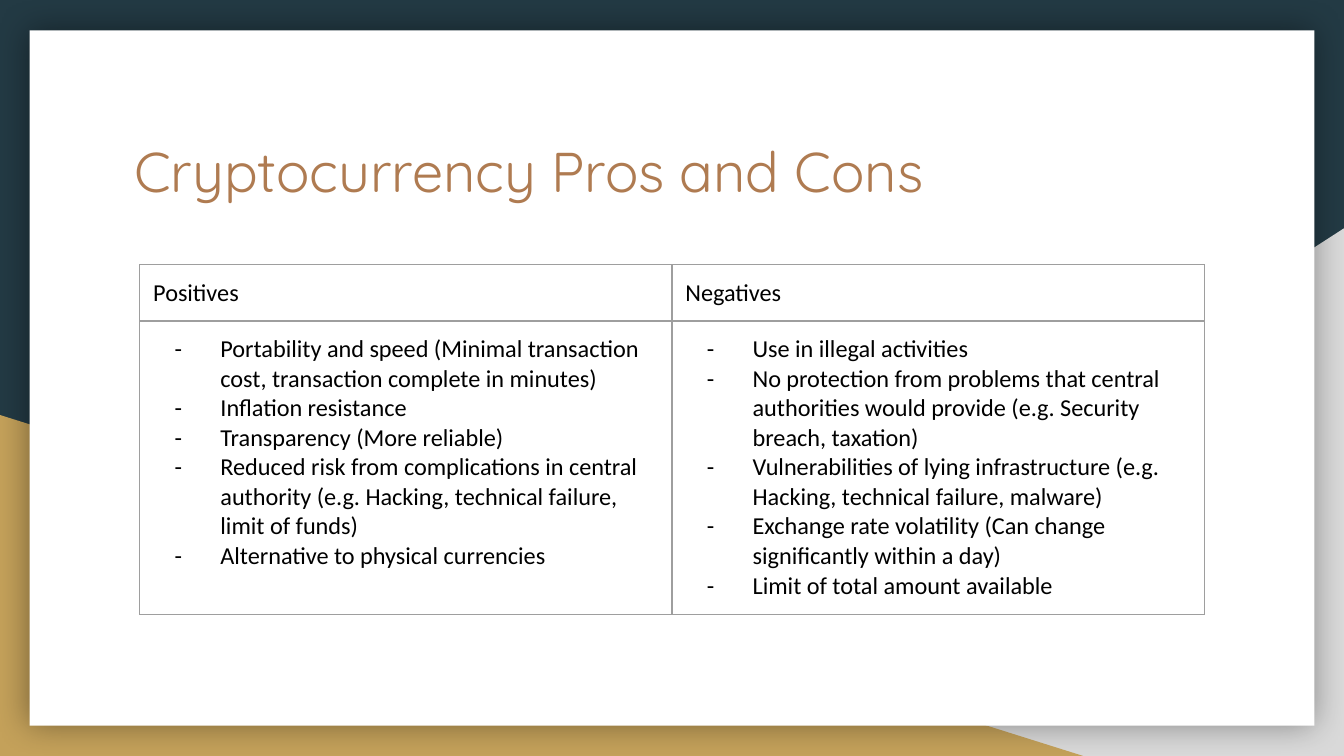
from lxml import etree
from pptx import Presentation
from pptx import util as u
from pptx.dml.color import RGBColor
from pptx.enum import shapes, text
from pptx.oxml.ns import qn

NAVY = RGBColor(0x23, 0x3A, 0x44)
SILVER = RGBColor(0xD9, 0xD9, 0xD9)
GOLD = RGBColor(0xC4, 0xA1, 0x5A)
WHITE = RGBColor(0xFF, 0xFF, 0xFF)
COPPER = RGBColor(0xAF, 0x7B, 0x51)
BLACK = RGBColor(0, 0, 0)
GRAY = RGBColor(0x9E, 0x9E, 0x9E)

COLUMNS = {
    "Positives": [
        "Portability and speed (Minimal transaction cost, transaction complete in minutes)",
        "Inflation resistance",
        "Transparency (More reliable)",
        "Reduced risk from complications in central authority "
        "(e.g. Hacking, technical failure, limit of funds)",
        "Alternative to physical currencies",
    ],
    "Negatives": [
        "Use in illegal activities",
        "No protection from problems that central authorities would provide "
        "(e.g. Security breach, taxation)",
        "Vulnerabilities of lying infrastructure (e.g. Hacking, technical failure, malware)",
        "Exchange rate volatility (Can change significantly within a day)",
        "Limit of total amount available",
    ],
}

deck = Presentation()
deck.slide_width = u.Inches(10)
deck.slide_height = deck.slide_width * 9 // 16
page = deck.slides.add_slide(deck.slide_layouts[6])
page.background.fill.solid()
page.background.fill.fore_color.rgb = NAVY


def place(left, top, width, height):
    """Turn percentages of the slide's size into lengths."""
    sizes = (deck.slide_width, deck.slide_height) * 2
    return [u.Emu(round(size * share / 100))
            for size, share in zip(sizes, (left, top, width, height))]


def add_run(para, words, font, size, color):
    run = para.add_run()
    run.text = words
    run.font.name = font
    run.font.size = u.Pt(size)
    run.font.color.rgb = color


# Backdrop: two corner triangles under a white panel
TRIANGLE = shapes.MSO_SHAPE.RIGHT_TRIANGLE
for kind, area, color, flipped in [
    (TRIANGLE, (39.2, 30.2, 60.8, 69.8), SILVER, True),
    (TRIANGLE, (0, 54.9, 80.6, 45.1), GOLD, False),
    (shapes.MSO_SHAPE.RECTANGLE, (2.2, 4, 95.6, 92), WHITE, False),
]:
    panel = page.shapes.add_shape(kind, *place(*area))
    panel.shadow.inherit = False
    panel.fill.solid()
    panel.fill.fore_color.rgb = color
    panel.line.fill.background()
    if flipped:
        panel._element.spPr.xfrm.set("flipH", "1")

effects = panel._element.spPr.find(qn("a:effectLst"))
shadow = etree.SubElement(effects, qn("a:outerShdw"), blurRad=str(u.Pt(18)),
                          dist="0", dir="0", algn="ctr", rotWithShape="0")
shade = etree.SubElement(shadow, qn("a:srgbClr"), val=str(BLACK))
etree.SubElement(shade, qn("a:alpha"), val="40000")

# Title
title = page.shapes.add_textbox(*place(9, 16.3, 82.1, 18.5)).text_frame
title.word_wrap = True
title.vertical_anchor = text.MSO_ANCHOR.TOP
title.margin_left = title.margin_right = u.Inches(0.1)
title.margin_top = title.margin_bottom = u.Inches(0.1)
add_run(title.paragraphs[0], "Cryptocurrency Pros and Cons", "Quicksand", 30, COPPER)

# Table: a heading above a dashed list in each column
left, top, width, height = place(10.4, 35, 79.2, 46.3)
table = page.shapes.add_table(2, len(COLUMNS), left, top, width, height).table
table.first_row = table.horz_banding = False
table.rows[0].height = u.Inches(0.42)
table.rows[1].height = height - table.rows[0].height

for column, (heading, points) in enumerate(COLUMNS.items()):
    for row, lines in enumerate([[heading], points]):
        cell = table.cell(row, column)
        cell.fill.background()
        cell.margin_left = cell.margin_right = u.Inches(0.1)
        cell.margin_top = cell.margin_bottom = u.Inches(0.1)
        borders = cell._tc.get_or_add_tcPr()
        for order, side in enumerate(["a:lnL", "a:lnR", "a:lnT", "a:lnB"]):
            border = etree.Element(qn(side), w=str(u.Pt(0.75)))
            paint = etree.SubElement(border, qn("a:solidFill"))
            etree.SubElement(paint, qn("a:srgbClr"), val=str(GRAY))
            borders.insert(order, border)

        frame = cell.text_frame
        for number, line in enumerate(lines):
            para = frame.add_paragraph() if number else frame.paragraphs[0]
            add_run(para, line, "Calibri", 13, BLACK)
            if row == 1:
                indent = para._p.get_or_add_pPr()
                indent.set("marL", str(u.Inches(0.5)))
                indent.set("indent", str(u.Inches(-0.34)))
                dash_color = etree.SubElement(indent, qn("a:buClr"))
                etree.SubElement(dash_color, qn("a:srgbClr"), val=str(BLACK))
                etree.SubElement(indent, qn("a:buFont"), typeface="Calibri")
                etree.SubElement(indent, qn("a:buChar"), char="-")

deck.save("out.pptx")
